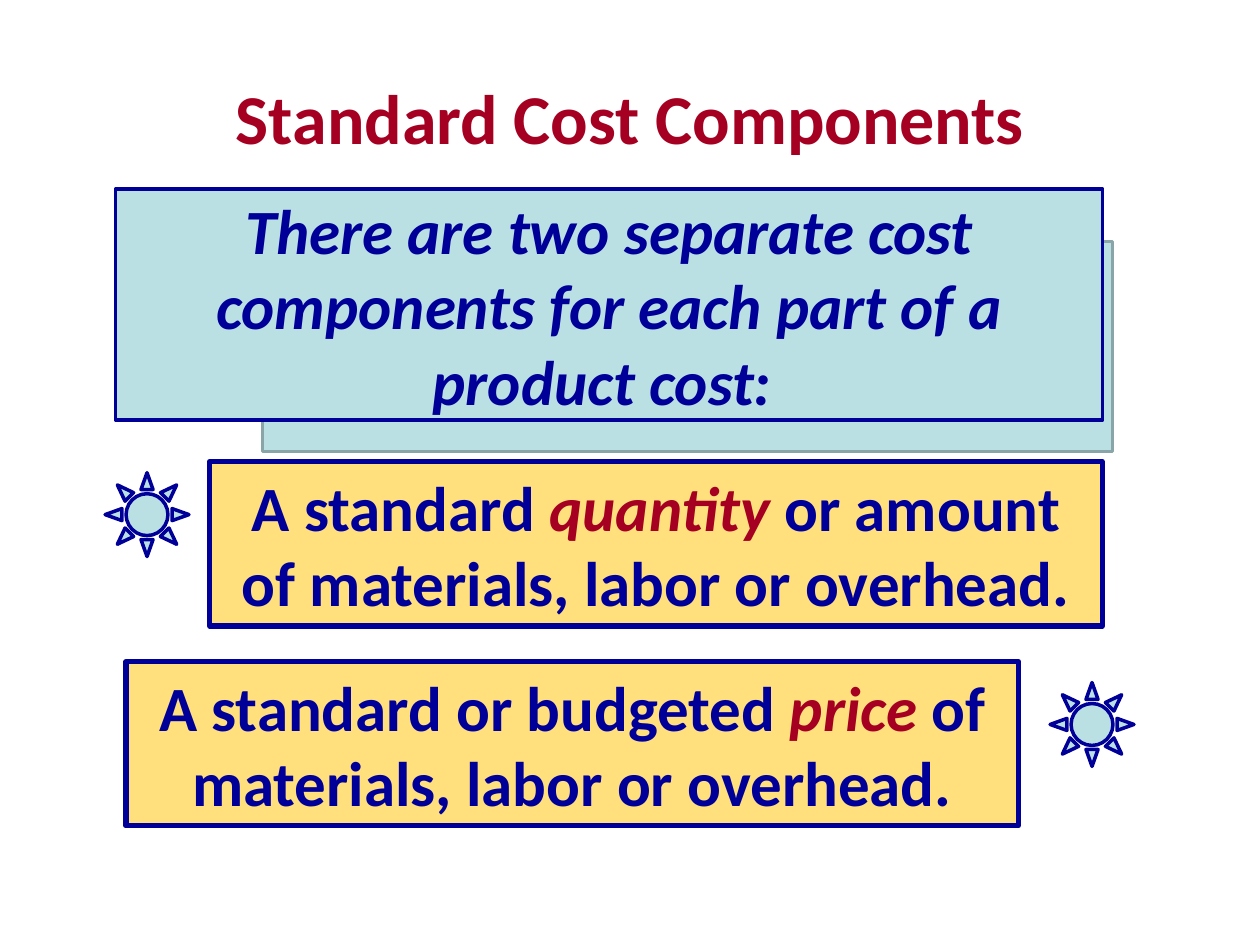
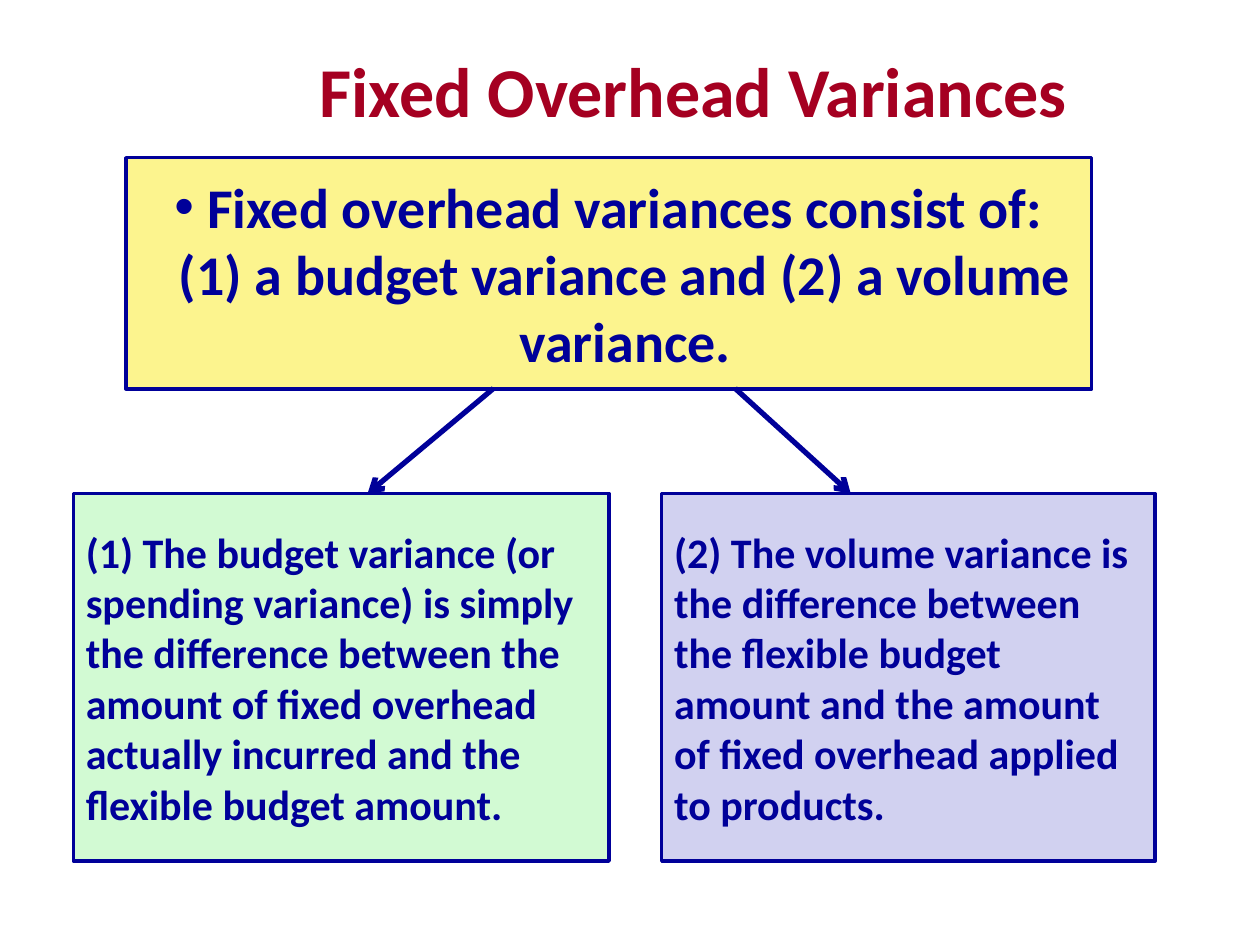
import pptx
import pptx.dml.color
import pptx.enum.shapes
import pptx.enum.text
import pptx.oxml
import pptx.oxml.ns
import pptx.util
from pptx.util import Cm

RGBColor = pptx.dml.color.RGBColor
NAVY = RGBColor(0x00, 0x00, 0x99)
RED = RGBColor(0xA5, 0x00, 0x21)
WHITE = RGBColor(0xFF, 0xFF, 0xFF)
AQUA = RGBColor(0xBB, 0xE0, 0xE3)
SLATE = RGBColor(0x8A, 0xA5, 0xA7)
GOLD = RGBColor(0xFF, 0xE0, 0x7D)
YELLOW = RGBColor(0xFC, 0xF4, 0x8E)
GREEN = RGBColor(0xD2, 0xFA, 0xD3)
LILAC = RGBColor(0xD1, 0xD1, 0xF0)

SHAPE = pptx.enum.shapes.MSO_SHAPE
ALIGN = pptx.enum.text.PP_ALIGN
ANCHOR = pptx.enum.text.MSO_ANCHOR
FONT = {"name": "Calibri", "bold": True}
FRAME = {
    "word_wrap": True,
    "margin_left": Cm(0.25),
    "margin_right": Cm(0.25),
    "margin_top": Cm(0.13),
    "margin_bottom": Cm(0.13),
}


def apply(target, values):
    """Set each named value as an attribute of the target."""
    for name, value in values.items():
        setattr(target, name, value)


def write(shape, paras, size, color=NAVY, align=ALIGN.CENTER,
          anchor=ANCHOR.MIDDLE, slant=False):
    """Fill a shape with paragraphs; a (word,) tuple is a red italic run."""
    frame = shape.text_frame
    apply(frame, {**FRAME, "vertical_anchor": anchor})
    for index, parts in enumerate(paras):
        para = frame.add_paragraph() if index else frame.paragraphs[0]
        para.alignment = align
        for part in parts:
            key = isinstance(part, tuple)
            run = para.add_run()
            run.text = part[0] if key else part
            apply(run.font, {**FONT, "size": pptx.util.Pt(size), "italic": slant or key})
            run.font.color.rgb = RED if key else color


def add_title(slide, text, area):
    """Add a slide title as a centred red text box."""
    box = slide.shapes.add_textbox(*map(Cm, area))
    write(box, [[text]], 40, RED)


def add_shape(slide, area, fill, kind=SHAPE.RECTANGLE, line=NAVY, width=2):
    """Add a filled and outlined shape without a shadow."""
    shape = slide.shapes.add_shape(kind, *map(Cm, area))
    shape.shadow.inherit = False
    shape.fill.solid()
    shape.fill.fore_color.rgb = fill
    shape.line.color.rgb = line
    shape.line.width = pptx.util.Pt(width)
    return shape


def add_arrow(slide, start, end):
    """Add a navy connector with an open arrowhead at its end."""
    kind = pptx.enum.shapes.MSO_CONNECTOR.STRAIGHT
    arrow = slide.shapes.add_connector(kind, *map(Cm, (*start, *end)))
    arrow.line.color.rgb = NAVY
    arrow.line.width = pptx.util.Pt(3)
    qn = pptx.oxml.ns.qn
    tail = arrow.line._get_or_add_ln().makeelement(qn("a:tailEnd"), {"type": "arrow"})
    arrow.line._get_or_add_ln().append(tail)
    props = arrow._element.spPr
    props.append(props.makeelement(qn("a:effectLst"), {}))


def add_bullet(para):
    """Give a paragraph a navy bullet with a hanging indent."""
    props = para._p.get_or_add_pPr()
    apply_indent = {"marL": Cm(0.66), "indent": -Cm(0.66)}
    for name, value in apply_indent.items():
        props.set(name, str(int(value)))
    space = pptx.oxml.ns.nsdecls("a")
    for mark in (f'<a:buClr {space}><a:srgbClr val="{NAVY}"/></a:buClr>',
                 f'<a:buFont {space} typeface="Arial"/>',
                 f'<a:buChar {space} char="•"/>'):
        props.append(pptx.oxml.parse_xml(mark))


def new_slide(deck):
    """Add a blank slide with a white background."""
    slide = deck.slides.add_slide(deck.slide_layouts[6])
    slide.background.fill.solid()
    slide.background.fill.fore_color.rgb = WHITE
    return slide


def build_parts(deck):
    """Build the slide on the two components of a standard cost."""
    slide = new_slide(deck)
    add_shape(slide, (5.29, 4.87, 17.14, 4.23), AQUA, line=SLATE)
    add_title(slide, "Standard Cost Components", (1.27, 0.76, 22.86, 3.18))
    lead = add_shape(slide, (2.33, 3.81, 19.9, 4.66), AQUA)
    write(lead, [["There are two separate cost components for each part of a product cost: "]],
          36, slant=True)
    rows = (
        (4.23, 9.31, 2.12, 9.53,
         ["A standard ", ("quantity",), " or amount of materials, labor or overhead."]),
        (2.54, 13.34, 21.17, 13.76,
         ["A standard or budgeted ", ("price",), " of materials, labor or overhead."]),
    )
    for left, top, sun_left, sun_top, parts in rows:
        box = add_shape(slide, (left, top, 17.99, 3.31), GOLD, width=3)
        write(box, [parts], 36, anchor=ANCHOR.TOP)
        sun = add_shape(slide, (sun_left, sun_top, 1.69, 1.69), AQUA, SHAPE.SUN)
        sun.adjustments[0] = 0.25


def build_fixed(deck):
    """Build the slide on the two fixed overhead variances."""
    slide = new_slide(deck)
    lead = add_shape(slide, (2.54, 3.18, 19.47, 4.66), YELLOW)
    write(lead, [["Fixed overhead variances consist of: "
                  "(1) a budget variance and (2) a volume variance."]], 32)
    add_bullet(lead.text_frame.paragraphs[0])
    add_title(slide, "Fixed Overhead Variances", (4.66, 0.42, 18.63, 2.75))
    cards = (
        (13.34, 9.95, LILAC, 14.82, 17.15,
         [["(2) The volume variance is the difference between the flexible budget "
           "amount and the amount of fixed overhead applied to products."]]),
        (1.48, 10.8, GREEN, 9.95, 7.41,
         [["(1) The budget variance (or spending variance) is simply "
           "the difference between the"],
          ["amount of fixed overhead actually incurred and the flexible budget amount."]]),
    )
    for left, width, fill, start, end, paras in cards:
        card = add_shape(slide, (left, 9.95, width, 7.41), fill)
        write(card, paras, 24, align=ALIGN.LEFT)
        add_arrow(slide, (start, 7.83), (end, 9.95))


def main():
    """Build and save the deck."""
    deck = pptx.Presentation()
    apply(deck, {"slide_width": Cm(25.4), "slide_height": Cm(19.05)})
    build_parts(deck)
    build_fixed(deck)
    deck.save("out.pptx")


if __name__ == "__main__":
    main()
